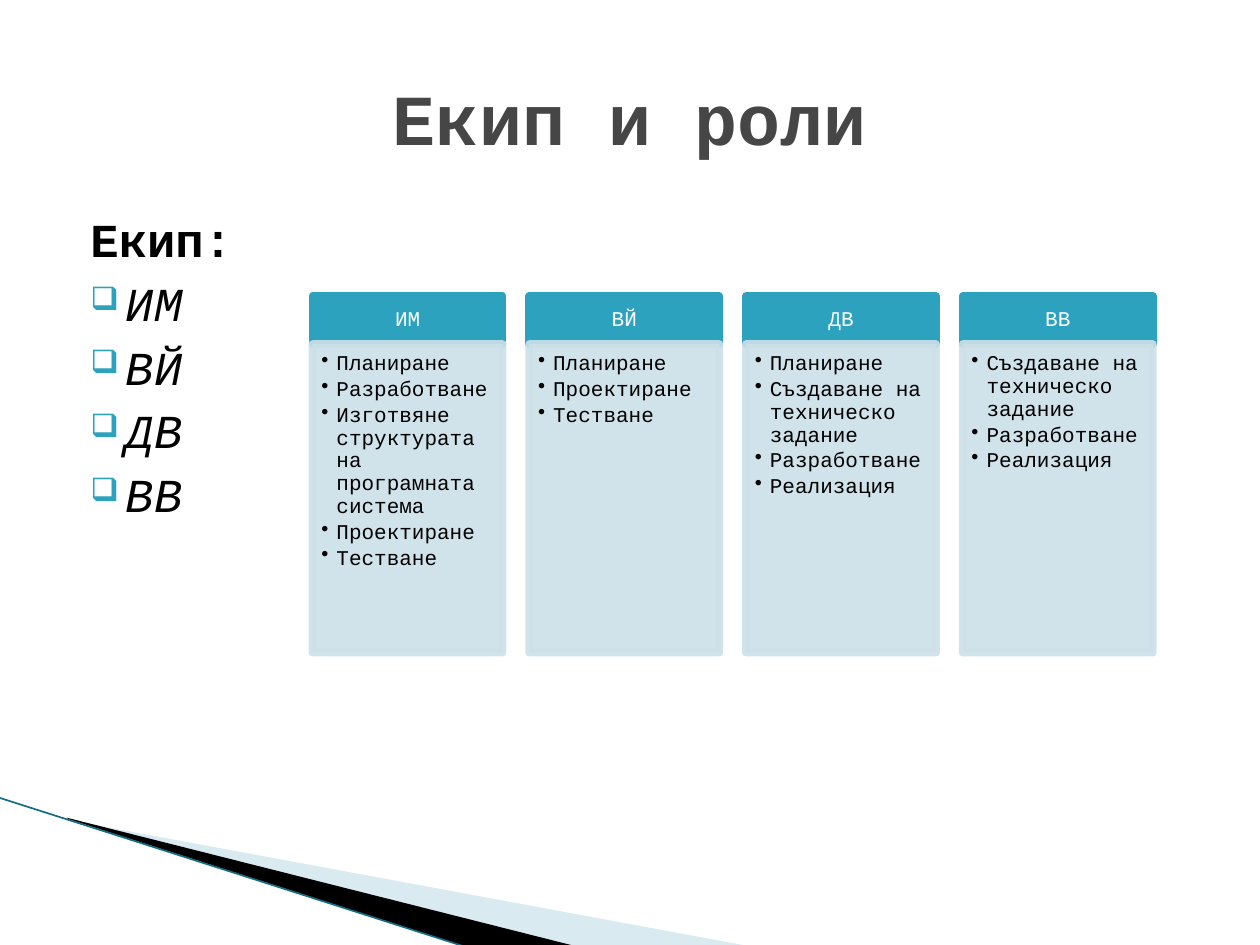
from lxml import etree
from pptx import Presentation
from pptx.dml.color import RGBColor
from pptx.enum import shapes, text
from pptx.oxml.ns import qn
from pptx.util import Inches, Pt

FONT = "Courier New"
TEAL = RGBColor(0x2D, 0xA2, 0xBF)
DARK_TEAL = RGBColor(0x16, 0x6C, 0x82)
PALE_TEAL = RGBColor(0xA0, 0xCB, 0xDC)
PANEL = RGBColor(0xCD, 0xE0, 0xE8)
GREY = RGBColor(0x46, 0x46, 0x46)
BLACK = RGBColor(0, 0, 0)
WHITE = RGBColor(255, 255, 255)

PLAN, DESIGN, TEST = "Планиране", "Проектиране", "Тестване"
BUILD, DELIVER = "Разработване", "Реализация"
BRIEF = "Създаване на техническо задание"
STRUCTURE = "Изготвяне структурата на програмната система"
ROLES = {
    "ИМ": [PLAN, BUILD, STRUCTURE, DESIGN, TEST],
    "ВЙ": [PLAN, DESIGN, TEST],
    "ДВ": [PLAN, BRIEF, BUILD, DELIVER],
    "ВВ": [BRIEF, BUILD, DELIVER],
}
COLUMN_LEFT, COLUMN_STEP, COLUMN_WIDTH = 2.48, 1.72, 1.51
HEADER_TOP, HEADER_HEIGHT, PANEL_HEIGHT = 2.35, 0.38, 2.45


def set_alpha(fill, percent):
    color = fill._xPr.find(qn("a:solidFill"))[0]
    etree.SubElement(color, qn("a:alpha"), val=str(percent * 1000))


def paint(shape, color, alpha=100, line_width=None):
    shape.shadow.inherit = False
    shape.fill.solid()
    shape.fill.fore_color.rgb = color
    fills = [shape.fill]
    if line_width:
        shape.line.width = Pt(line_width)
        shape.line.color.rgb = color
        fills.append(shape.line.fill)
    else:
        shape.line.fill.background()
    if alpha < 100:
        for fill in fills:
            set_alpha(fill, alpha)


def add_polygon(page, points, color, alpha=100):
    start, *others = [(Inches(x), Inches(y)) for x, y in points]
    builder = page.shapes.build_freeform(*start, scale=1.0)
    builder.add_line_segments(others, close=True)
    paint(builder.convert_to_shape(), color, alpha)


def add_box(page, left, top, width, height):
    box = page.shapes.add_textbox(
        Inches(left), Inches(top), Inches(width), Inches(height))
    box.text_frame.word_wrap = True
    return box.text_frame


def add_panel(page, left, top, height, color, alpha=100):
    panel = page.shapes.add_shape(
        shapes.MSO_SHAPE.RECTANGLE, Inches(left), Inches(top),
        Inches(COLUMN_WIDTH), Inches(height))
    paint(panel, color, alpha, line_width=4.33)
    panel.text_frame.word_wrap = True
    return panel.text_frame


def set_margins(frame, left, top, right, bottom):
    frame.margin_left, frame.margin_top = Inches(left), Inches(top)
    frame.margin_right, frame.margin_bottom = Inches(right), Inches(bottom)


def add_para(frame, words, size, color, bold=False, italic=False,
             align=text.PP_ALIGN.LEFT):
    para = frame.paragraphs[0]
    if para.runs:
        para = frame.add_paragraph()
    para.alignment = align
    span = para.add_run()
    span.text = words
    font = span.font
    font.name, font.size, font.color.rgb = FONT, Pt(size), color
    font.bold, font.italic = bold, italic
    return para


def set_indent(para, left, first=0):
    props = para._p.get_or_add_pPr()
    props.set("marL", str(Inches(left)))
    props.set("indent", str(Inches(first)))
    return props


def add_bullet(para, mark, left, hang, color=None, percent=100):
    props = set_indent(para, left, -hang)
    if color is not None:
        holder = etree.SubElement(props, qn("a:buClr"))
        etree.SubElement(holder, qn("a:srgbClr"), val=str(color))
    etree.SubElement(props, qn("a:buSzPct"), val=str(percent * 1000))
    etree.SubElement(props, qn("a:buChar"), char=mark)


def add_swoosh(page):
    add_polygon(page, [(0.55, 6.51), (5.95, 7.51), (4.56, 7.51), (0.55, 6.5)],
                PALE_TEAL, alpha=40)
    add_polygon(page, [(0.53, 6.49), (4.57, 7.51), (3.72, 7.52), (0.54, 6.5)],
                BLACK)
    edge = page.shapes.add_connector(
        shapes.MSO_CONNECTOR.STRAIGHT,
        Inches(-0.01), Inches(6.33), Inches(3.71), Inches(7.52))
    edge.line.color.rgb = DARK_TEAL
    edge.line.width = Pt(0.95)
    etree.SubElement(edge._element.spPr, qn("a:effectLst"))


def add_title(page):
    frame = add_box(page, 0.5, 0.3, 9, 1.25)
    frame.vertical_anchor = text.MSO_ANCHOR.MIDDLE
    add_para(frame, "Екип и роли", 41, GREY, bold=True,
             align=text.PP_ALIGN.CENTER)


def add_team(page):
    frame = add_box(page, 0.5, 1.62, 3.16, 4.95)
    heading = add_para(frame, "Екип:", 27, BLACK, bold=True)
    heading.space_before = Pt(4)
    set_indent(heading, 0.12)
    for member in ROLES:
        para = add_para(frame, member, 27, BLACK, italic=True)
        para.space_before = Pt(4)
        add_bullet(para, "❑", 0.4, 0.28, TEAL, 68)


def add_role_column(page, left, member, tasks):
    header = add_panel(page, left, HEADER_TOP, HEADER_HEIGHT, TEAL)
    header.vertical_anchor = text.MSO_ANCHOR.MIDDLE
    set_margins(header, 0.09, 0.05, 0.09, 0.05)
    name = add_para(header, member, 12, WHITE, align=text.PP_ALIGN.CENTER)
    name.line_spacing = 0.9

    body = add_panel(page, left, HEADER_TOP + HEADER_HEIGHT, PANEL_HEIGHT,
                     PANEL, alpha=90)
    body.vertical_anchor = text.MSO_ANCHOR.TOP
    set_margins(body, 0.07, 0.07, 0.09, 0.1)
    for task in tasks:
        para = add_para(body, task, 12, BLACK)
        para.level = 1
        para.line_spacing = 0.9
        para.space_after = Pt(1.8)
        add_bullet(para, "•", 0.12, 0.12)


def main():
    deck = Presentation()
    deck.slide_width, deck.slide_height = Inches(10), Inches(7.5)
    page = deck.slides.add_slide(deck.slide_layouts[6])

    # Corner decoration
    add_swoosh(page)

    # Title and team list
    add_team(page)
    add_title(page)

    # One column of tasks per member
    for index, (member, tasks) in enumerate(ROLES.items()):
        add_role_column(page, COLUMN_LEFT + index * COLUMN_STEP, member, tasks)

    deck.save("out.pptx")


if __name__ == "__main__":
    main()
